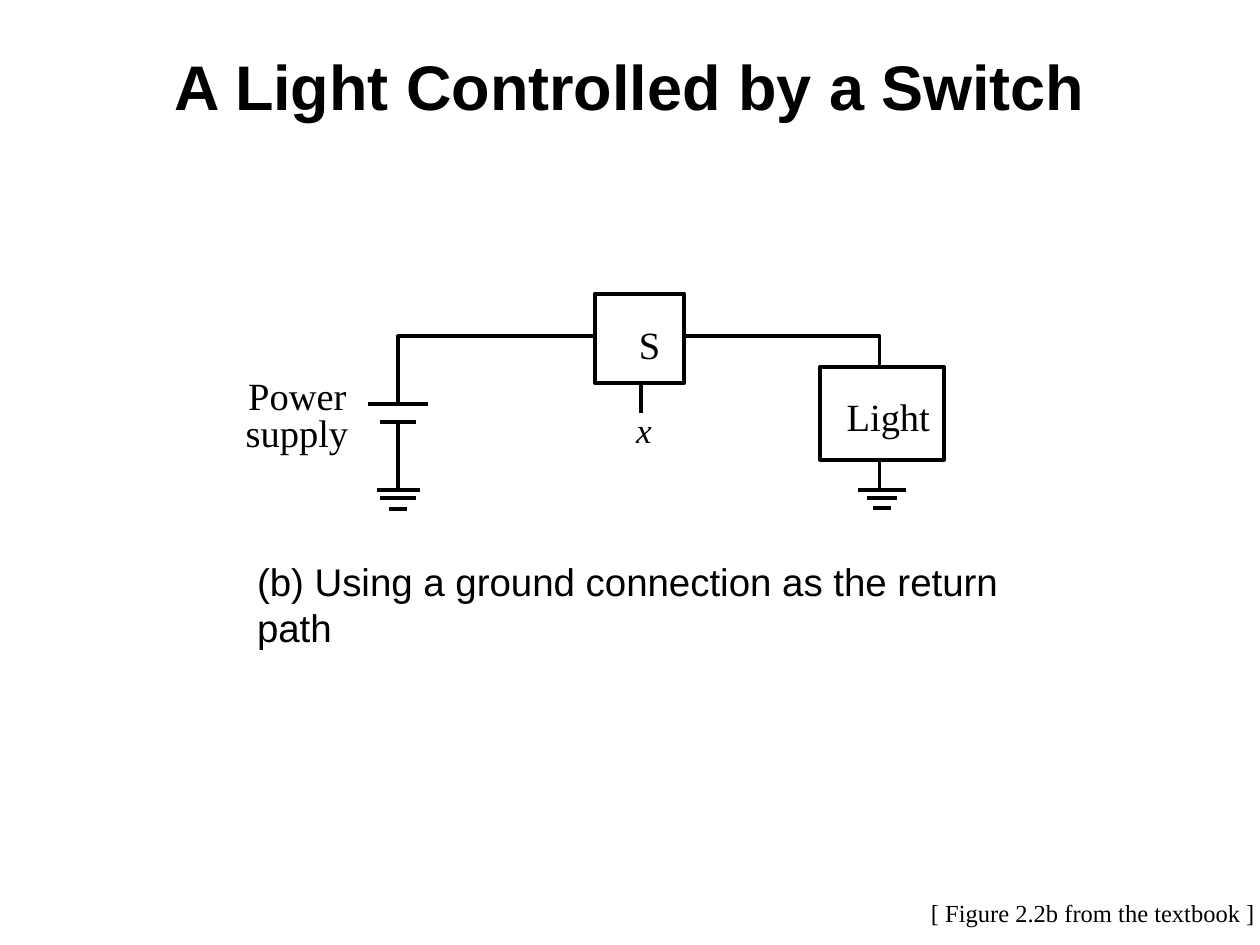
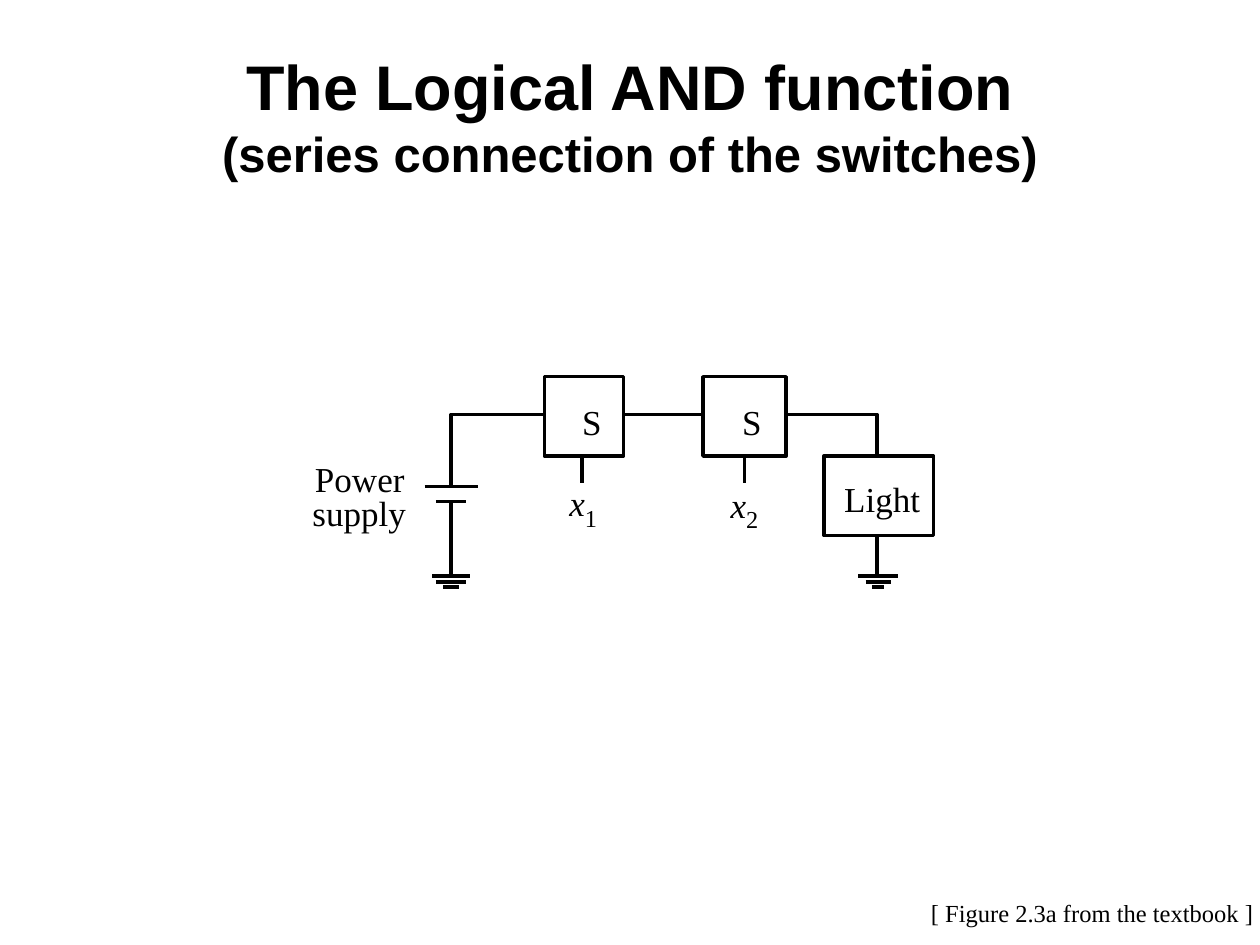
from lxml.etree import SubElement
from pptx import Presentation
from pptx.dml.color import RGBColor
from pptx.enum.shapes import MSO_CONNECTOR as Link, MSO_SHAPE as Form
from pptx.enum.text import MSO_ANCHOR as Anchor, MSO_AUTO_SIZE as Fit, PP_ALIGN as Align
from pptx.oxml.ns import qn
from pptx.util import Inches, Pt

BLACK = RGBColor(0, 0, 0)
SANS = "Arial"
SERIF = "Times New Roman"
PAD = (0.1, 0.05, 0.1, 0.05)


def put(item, **form):
    for key, val in form.items():
        setattr(item, key, val)


def place(shape, *box):
    put(shape, **dict(zip(("left", "top", "width", "height"), map(Inches, box))))


def ink(line, width):
    line.color.rgb = BLACK
    line.width = Pt(width)


def write(para, text, size, **form):
    run = para.add_run()
    run.text = text
    put(run.font, **{"name": SERIF, "size": Pt(size), **form})
    run.font.color.rgb = BLACK
    return run


def label(slide, text, box, size, pad=(0, 0, 0, 0), wrap=False, **form):
    frame = slide.shapes.add_textbox(*map(Inches, box)).text_frame
    sides = ("margin_left", "margin_top", "margin_right", "margin_bottom")
    put(frame, word_wrap=wrap, auto_size=Fit.SHAPE_TO_FIT_TEXT,
        **dict(zip(sides, map(Inches, pad))))
    para = frame.paragraphs[0]
    write(para, text, size, **form)
    return para


def input_name(slide, box, gap, index=""):
    para = label(slide, "x", box, 20, PAD, True, italic=True)
    para.space_before = Pt(gap)
    if index:
        run = write(para, index, 24, italic=False)
        run.font._element.set("baseline", "-25000")


def wire(slide, start, end, width):
    line = slide.shapes.add_connector(Link.STRAIGHT, *map(Inches, start + end))
    ink(line.line, width)
    SubElement(line._element.spPr, qn("a:effectLst"))


def bend(slide, points, width):
    first, *rest = [tuple(map(Inches, point)) for point in points]
    pen = slide.shapes.build_freeform(*first)
    pen.add_line_segments(rest, close=False)
    shape = pen.convert_to_shape()
    shape.fill.background()
    shape.shadow.inherit = False
    ink(shape.line, width)


def frame_box(slide, box, width):
    shape = slide.shapes.add_shape(Form.RECTANGLE, *map(Inches, box))
    shape.fill.background()
    shape.shadow.inherit = False
    ink(shape.line, width)


def bars(slide, mid, rows, width):
    for y, half in rows:
        wire(slide, (mid - half, y), (mid + half, y), width)


def base(deck, lines, figure):
    slide = deck.slides.add_slide(deck.slide_layouts[5])
    title = slide.shapes.title
    place(title, 0, 0.33, 10, 0.75)
    frame = title.text_frame
    put(frame, word_wrap=True, auto_size=Fit.NONE, vertical_anchor=Anchor.TOP)
    for row, (text, size) in enumerate(lines):
        para = frame.add_paragraph() if row else frame.paragraphs[0]
        para.alignment = Align.CENTER
        write(para, text, size, name=SANS, bold=True)
    label(slide, f"[ Figure {figure} from the textbook ]",
          (7.29, 7.08, 2.77, 0.34), 14, PAD)
    return slide


def ground_path(deck):
    slide = base(deck, [("A Light Controlled by a Switch", 36)], "2.2b")
    width, size = 2.25, 22
    bend(slide, [(4.72, 2.67), (3.16, 2.67), (3.16, 3.21)], width)
    bend(slide, [(6.98, 2.91), (6.98, 2.67), (5.43, 2.67)], width)
    for x, top, end in [(5.09, 3.04, 3.28), (3.16, 3.35, 3.89), (6.98, 3.65, 3.89)]:
        wire(slide, (x, top), (x, end), width)
    bars(slide, 3.16, [(3.21, 0.24), (3.35, 0.14), (3.89, 0.17),
                       (3.95, 0.14), (4.04, 0.07)], width)
    bars(slide, 7, [(3.89, 0.19), (3.95, 0.12), (4.03, 0.07)], width)
    for box in [(4.72, 2.33, 0.71, 0.71), (6.51, 2.91, 0.98, 0.74)]:
        frame_box(slide, box, width)
    for text, x, y, wide in [("Power", 1.97, 2.95, 0.99), ("supply", 1.95, 3.25, 0.94),
                             ("S", 5.07, 2.55, 0.25), ("Light", 6.72, 3.12, 0.8)]:
        label(slide, text, (x, y, wide, 0.37), size)
    input_name(slide, (4.95, 3.19, 0.48, 0.44), 12.5)
    label(slide, "(b) Using a ground connection as the return path",
          (2.04, 4.43, 6.56, 0.37), size, name=SANS)


def series_path(deck):
    slide = base(deck, [("The Logical AND function", 36),
                        ("(series connection of the switches)", 28)], "2.3a")
    width, size = 2, 20
    bend(slide, [(4.32, 3.29), (3.58, 3.29), (3.58, 3.86)], width)
    bend(slide, [(6.96, 3.62), (6.96, 3.29), (6.24, 3.29)], width)
    wire(slide, (4.95, 3.29), (5.58, 3.29), width)
    for x, top, end in [(4.62, 3.62, 3.83), (5.91, 3.62, 3.83),
                        (3.58, 3.98, 4.57), (6.96, 4.25, 4.57)]:
        wire(slide, (x, top), (x, end), width)
    bars(slide, 3.58, [(3.86, 0.21), (3.98, 0.12), (4.57, 0.15),
                       (4.62, 0.12), (4.66, 0.06)], width)
    bars(slide, 6.97, [(4.57, 0.16), (4.62, 0.1), (4.66, 0.05)], width)
    for x, y, wide in [(4.32, 2.99, 0.63), (5.58, 2.99, 0.66), (6.54, 3.62, 0.87)]:
        frame_box(slide, (x, y, wide, 0.63), width)
    for text, x, y, wide in [("Power", 2.5, 3.63, 0.9), ("supply", 2.48, 3.9, 0.86),
                             ("S", 4.62, 3.18, 0.23), ("S", 5.89, 3.18, 0.23),
                             ("Light", 6.7, 3.79, 0.73)]:
        label(slide, text, (x, y, wide, 0.33), size)
    for index, x, y in [("1", 4.42, 3.72), ("2", 5.7, 3.73)]:
        input_name(slide, (x, y, 0.48, 0.56), 15, index)


def main():
    deck = Presentation()
    put(deck, slide_width=Inches(10), slide_height=Inches(7.5))
    ground_path(deck)
    series_path(deck)
    deck.save("out.pptx")


if __name__ == "__main__":
    main()
